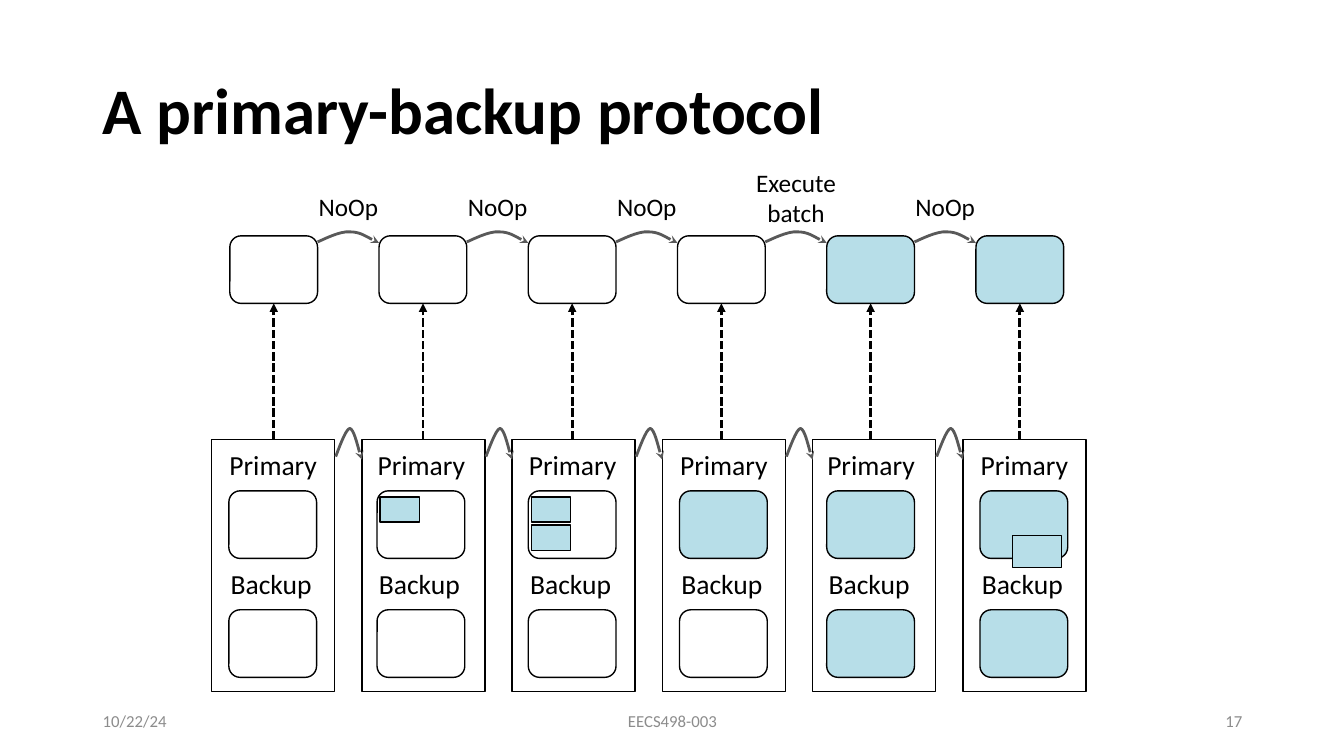
"""Build the slide on a primary-backup protocol with its six stages."""
from dataclasses import dataclass

from lxml.etree import SubElement
from pptx import Presentation
from pptx.dml.color import RGBColor
from pptx.enum.dml import MSO_LINE
from pptx.enum.shapes import MSO_CONNECTOR, MSO_SHAPE
from pptx.enum.text import MSO_ANCHOR, MSO_AUTO_SIZE as FIT, PP_ALIGN
from pptx.oxml.ns import qn
from pptx.util import Inches, Pt


@dataclass(frozen=True)
class Theme:
    font: str = "Calibri"
    ink: str = "000000"
    paper: str = "FFFFFF"
    done: str = "B7DEE8"
    hop: str = "595959"
    muted: str = "8C8C8C"
    title: float = 46.4
    role: float = 19.7
    action: float = 18
    footer: float = 12


T = Theme()
WIDTH, HEIGHT = 13.33, 7.5

TITLE = "A primary-backup protocol"
FOOTERS = [
    ("10/22/24", 0.92, 3, PP_ALIGN.LEFT),
    ("EECS498-003", 4.42, 4.5, PP_ALIGN.CENTER),
    ("17", 9.42, 3, PP_ALIGN.RIGHT),
]
ACTIONS = [("NoOp", 1.85), ("NoOp", 1.85), ("NoOp", 1.85),
           ("Execute batch", 1.61), ("NoOp", 1.85)]

FIRST_CHIP = (0.03, 0.06, 0.39, 0.25)
SECOND_CHIP = (0.03, 0.34, 0.39, 0.25)
LATE_CHIP = (0.32, 0.44, 0.49, 0.32)
STAGES = [
    dict(state=T.paper, primary=T.paper, backup=T.paper, inset=0.17, chips=[]),
    dict(state=T.paper, primary=T.paper, backup=T.paper, inset=0.15, chips=[FIRST_CHIP]),
    dict(state=T.paper, primary=T.paper, backup=T.paper, inset=0.16,
         chips=[FIRST_CHIP, SECOND_CHIP]),
    dict(state=T.paper, primary=T.done, backup=T.paper, inset=0.17, chips=[]),
    dict(state=T.done, primary=T.done, backup=T.done, inset=0.14, chips=[]),
    dict(state=T.done, primary=T.done, backup=T.done, inset=0.17, chips=[LATE_CHIP]),
]

STATE_LEFT, STATE_TOP, STATE_PITCH = 2.28, 2.34, 1.48
REPLICA_LEFT, REPLICA_TOP, REPLICA_PITCH = 2.1, 4.36, 1.49
REPLICA_W, REPLICA_H = 1.22, 2.5
BOX_W, BOX_H = 0.87, 0.67
ROLES = [("Primary", "primary", -0.19, 4.4, 4.87),
         ("Backup", "backup", -0.21, 5.58, 6.05)]
LABEL_W, LABEL_H, ACTION_W = 1.26, 0.41, 1.18
FLAT_HOP = [(0.05, -0.02), (0.22, -0.11), (0.32, -0.1),
            (0.42, -0.1), (0.56, -0.01), (0.61, 0.01)]
STEEP_HOP = [(0.02, -0.05), (0.1, -0.28), (0.14, -0.28),
             (0.18, -0.27), (0.24, -0.02), (0.26, 0.03)]

prs = Presentation()
prs.slide_width, prs.slide_height = Inches(WIDTH), Inches(HEIGHT)
s = prs.slides.add_slide(prs.slide_layouts[5])


def write(sp, text, *, size, color=T.ink, bold=False, align=PP_ALIGN.CENTER,
          anchor=MSO_ANCHOR.MIDDLE, fit=FIT.SHAPE_TO_FIT_TEXT, margin=None, spacing=None):
    tf = sp.text_frame
    tf.word_wrap, tf.auto_size, tf.vertical_anchor = True, fit, anchor
    if margin is not None:
        tf.margin_left = tf.margin_right = Inches(margin)
        tf.margin_top = tf.margin_bottom = Inches(margin)
    p = tf.paragraphs[0]
    p.alignment, p.line_spacing = align, spacing
    r = p.add_run()
    r.text = text
    r.font.name, r.font.size, r.font.bold = T.font, Pt(size), bold
    r.font.color.rgb = RGBColor.from_string(color)


def label(text, x, y, w, h, **fmt):
    write(s.shapes.add_textbox(*map(Inches, (x, y, w, h))), text, **fmt)


def box(x, y, w, h, fill, kind=MSO_SHAPE.RECTANGLE):
    sp = s.shapes.add_shape(kind, *map(Inches, (x, y, w, h)))
    sp.shadow.inherit = False
    sp.fill.solid()
    sp.fill.fore_color.rgb = RGBColor.from_string(fill)
    outline(sp, T.ink, 1)
    return sp


def outline(sp, color, width):
    sp.line.color.rgb = RGBColor.from_string(color)
    sp.line.width = Pt(width)


def arrowhead(spPr, kind):
    SubElement(spPr.find(qn("a:ln")), qn("a:tailEnd"), type=kind)


def hop(x, y, offsets):
    builder = s.shapes.build_freeform(Inches(x), Inches(y))
    builder.add_line_segments([(Inches(x + dx), Inches(y + dy)) for dx, dy in offsets],
                              close=False)
    sp = builder.convert_to_shape()
    sp.shadow.inherit = False
    sp.fill.background()
    outline(sp, T.hop, 2)
    spPr = sp.element.spPr
    arrowhead(spPr, "stealth")
    route = next(spPr.iter(qn("a:path")))
    legs = route.findall(qn("a:lnTo"))
    for start in range(0, len(legs), 3):
        curve = SubElement(route, qn("a:cubicBezTo"))
        for leg in legs[start:start + 3]:
            curve.append(leg[0])
            route.remove(leg)


def dashed_arrow(state, x):
    line = s.shapes.add_connector(MSO_CONNECTOR.STRAIGHT, Inches(x), Inches(REPLICA_TOP),
                                  Inches(x), Inches(STATE_TOP + BOX_H))
    line.end_connect(state, 2)
    outline(line, T.ink, 2)
    line.line.dash_style = MSO_LINE.SQUARE_DOT
    spPr = line._element.spPr
    arrowhead(spPr, "triangle")
    SubElement(spPr, qn("a:effectLst"))


def draw_stage(i, stage):
    left = REPLICA_LEFT + i * REPLICA_PITCH
    box(left, REPLICA_TOP, REPLICA_W, REPLICA_H, T.paper)
    inner = left + stage["inset"]
    for name, key, shift, label_top, box_top in ROLES:
        box(inner, box_top, BOX_W, BOX_H, stage[key], MSO_SHAPE.ROUNDED_RECTANGLE)
        label(name, inner + shift, label_top, LABEL_W, LABEL_H, size=T.role, margin=0.04)
    for dx, dy, w, h in stage["chips"]:
        box(inner + dx, ROLES[0][-1] + dy, w, h, T.done)
    x = STATE_LEFT + i * STATE_PITCH
    state = box(x, STATE_TOP, BOX_W, BOX_H, stage["state"], MSO_SHAPE.ROUNDED_RECTANGLE)
    dashed_arrow(state, x + BOX_W / 2)


def draw_step(i, action, top):
    x = STATE_LEFT + BOX_W + i * STATE_PITCH
    hop(x, STATE_TOP + 0.06, FLAT_HOP)
    hop(REPLICA_LEFT + REPLICA_W + 0.01 + i * REPLICA_PITCH, REPLICA_TOP + 0.17, STEEP_HOP)
    middle = x + (STATE_PITCH - BOX_W) / 2
    label(action, middle - ACTION_W / 2, top, ACTION_W, 0.4 if top > 1.7 else 0.71,
          size=T.action, anchor=MSO_ANCHOR.TOP)


def main():
    title = s.shapes.title
    title.left, title.top, title.width, title.height = map(Inches, (0.92, 0.4, 11.5, 1.45))
    write(title, TITLE, size=T.title, bold=True, align=PP_ALIGN.LEFT, fit=FIT.NONE, spacing=0.9)
    for i, stage in enumerate(STAGES):
        draw_stage(i, stage)
    for i, (action, top) in enumerate(ACTIONS):
        draw_step(i, action, top)
    for text, x, w, align in FOOTERS:
        label(text, x, 6.95, w, 0.4, size=T.footer, color=T.muted, align=align, fit=FIT.NONE)
    prs.save("out.pptx")


if __name__ == "__main__":
    main()
